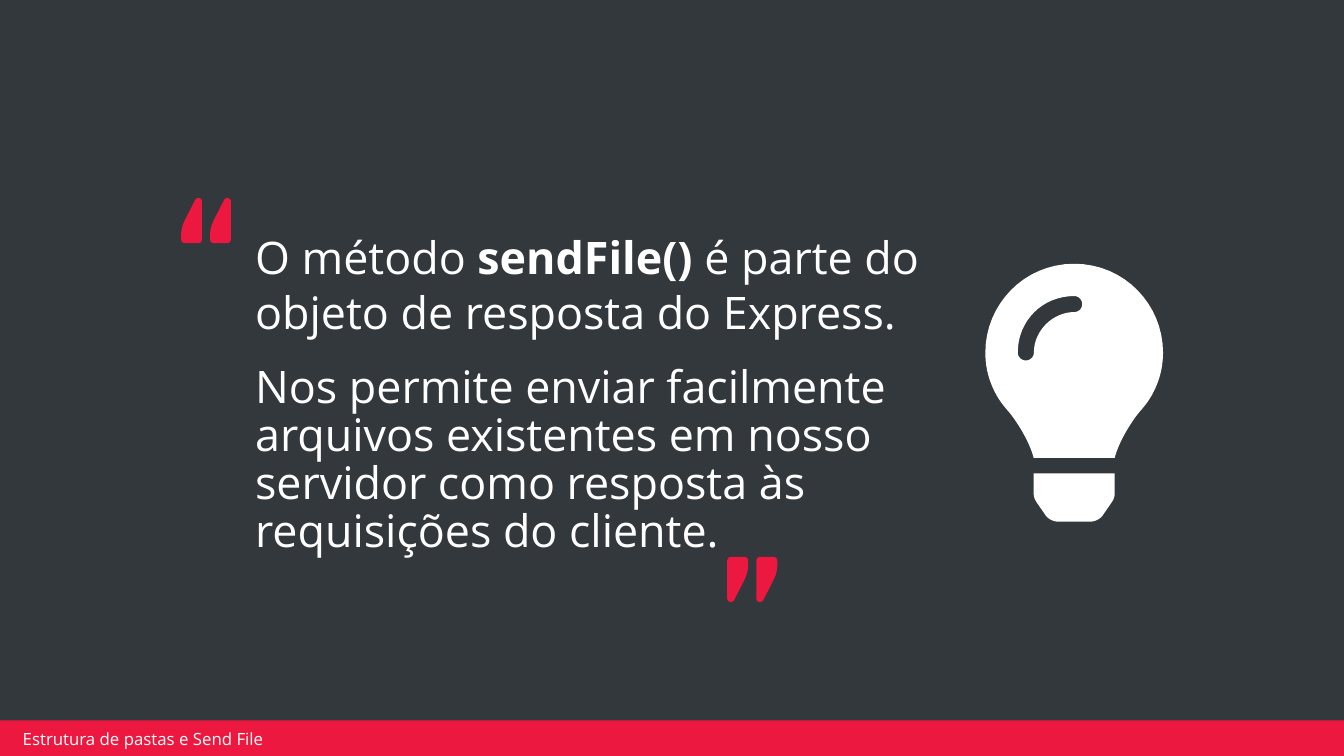
from dataclasses import dataclass
from typing import NamedTuple

from pptx import Presentation
from pptx import util as u
from pptx.dml import color
from pptx.enum import shapes, text


@dataclass(frozen=True)
class Theme:
    """Colours, font and type sizes."""
    dark: str = "33383C"
    accent: str = "EC183F"
    white: str = "FFFFFF"
    font: str = "Open Sans"
    body: float = 24
    footer: float = 9


class Point(NamedTuple):
    """Position in points."""
    x: float
    y: float


class Quote(NamedTuple):
    """Place and rotation of one half of a quotation mark."""
    x: float
    y: float
    turn: float = 0


class Para(NamedTuple):
    """Paragraph as alternating plain and bold pieces, with its spacing."""
    pieces: tuple[str, ...]
    line: float
    before: float


THEME = Theme()
QUOTES = [Quote(97, 106), Quote(112.5, 106),
          Quote(405.2, 298.3, 180), Quote(389.6, 298.3, 180)]
MARK = [Point(*p) for p in (
    (9.4, 0), (8.6, 0.2), (7.6, 1), (2.2, 11.6), (0.9, 14.5), (0.3, 17),
    (0, 19.5), (0, 22.4), (0.4, 23.6), (1.6, 24.3), (9.6, 24.3),
    (10.8, 23.7), (11.2, 22.5), (11.2, 1.8), (10.8, 0.6))]
BULB_TOP = Point(575.5, 141.3)
GLASS = [(0, 0), (-27, 0), (-47.6, 22), (-47.6, 47.5),
         (-47.6, 59.8), (-43, 70.6), (-35.3, 79),
         (-31, 84), (-24, 95), (-21.7, 104)]
GLARE = [(0, 25.9), (-11.5, 25.9), (-21.6, 36), (-21.6, 47.5),
         (-21.6, 50), (-23.5, 51.8), (-25.9, 51.8),
         (-28.3, 51.8), (-30.2, 50), (-30.2, 47.5),
         (-30.2, 30.5), (-17, 17.3), (0, 17.3),
         (2.4, 17.3), (4.3, 19.2), (4.3, 21.6),
         (4.3, 24), (2.4, 25.9), (0, 25.9)]
SOCKET = [(-21.7, 123), (-21.7, 124.6), (-21.2, 126.2), (-20.3, 127.5)]
TIP = [(-15.5, 134.5), (-13.8, 137), (-11, 138.2), (-8.2, 138.2)]
PARAS = [
    Para(("O método ", "sendFile() ",
          "é parte do objeto de resposta do Express."), 1.02, 6),
    Para(("Nos permite enviar facilmente arquivos existentes em nosso "
          "servidor como resposta às requisições do cliente.",), 0.89, 14.5),
]
FOOTER = [Para(("Estrutura de pastas e Send File",), 1, 0)]


def rgb(value: str) -> color.RGBColor:
    """Turn a hex string into a colour."""
    return color.RGBColor.from_string(value)


def curve(nodes: list, steps: int = 16) -> list[Point]:
    """Flatten a chain of cubic Bezier segments."""
    pts = [Point(*nodes[0])]
    for i in range(0, len(nodes) - 1, 3):
        for k in range(1, steps + 1):
            t = k / steps
            w = ((1 - t) ** 3, 3 * t * (1 - t) ** 2, 3 * t * t * (1 - t), t ** 3)
            pts.append(Point(*(sum(a * n[axis] for a, n in zip(w, nodes[i:i + 4]))
                               for axis in (0, 1))))
    return pts


def mirrored(half: list[Point]) -> list[Point]:
    """Complete a left half with its reflection."""
    return half + [Point(-p.x, p.y) for p in reversed(half)]


def paint(sp, fill: str) -> None:
    """Give a shape a flat fill without line or shadow."""
    sp.fill.solid()
    sp.fill.fore_color.rgb = rgb(fill)
    sp.line.fill.background()
    sp.shadow.inherit = False


def add_outline(s, at: Point, contours: list[list[Point]], fill: str):
    """Draw closed contours as one freeform."""
    placed = [[(u.Pt(at.x + p.x), u.Pt(at.y + p.y)) for p in c] for c in contours]
    fb = s.shapes.build_freeform(*placed[0][0])
    fb.add_line_segments(placed[0][1:], close=True)
    for c in placed[1:]:
        fb.move_to(*c[0])
        fb.add_line_segments(c[1:], close=True)
    sp = fb.convert_to_shape()
    paint(sp, fill)
    return sp


def add_text(s, box: tuple, paras: list[Para], size: float, inset: tuple) -> None:
    """Add a wrapped, vertically centred text box."""
    tf = s.shapes.add_textbox(*map(u.Pt, box)).text_frame
    tf.word_wrap = True
    tf.vertical_anchor = text.MSO_ANCHOR.MIDDLE
    tf.margin_left = tf.margin_right = u.Pt(inset[0])
    tf.margin_top = tf.margin_bottom = u.Pt(inset[1])
    for i, para in enumerate(paras):
        p = tf.add_paragraph() if i else tf.paragraphs[0]
        p.line_spacing, p.space_before = para.line, u.Pt(para.before)
        for j, piece in enumerate(para.pieces):
            r = p.add_run()
            r.text = piece
            r.font.name, r.font.size = THEME.font, u.Pt(size)
            r.font.bold = j % 2 == 1
            r.font.color.rgb = rgb(THEME.white)


def main() -> None:
    """Build and save the slide."""
    prs = Presentation()
    prs.slide_width, prs.slide_height = u.Pt(720), u.Pt(405)
    s = prs.slides.add_slide(prs.slide_layouts[6])
    s.background.fill.solid()
    s.background.fill.fore_color.rgb = rgb(THEME.dark)

    bar = s.shapes.add_shape(shapes.MSO_SHAPE.RECTANGLE,
                             *map(u.Pt, (-1.4, 385.9, 722, 19.4)))
    paint(bar, THEME.accent)
    add_text(s, (8.6, 390.2, 172, 10.8), FOOTER, THEME.footer, (3.6, 1.4))
    add_text(s, (129.6, 103.7, 406.8, 213.8), PARAS, THEME.body, (7.2, 3.6))

    base = [Point(-21.7, 112.3)] + curve(SOCKET) + curve(TIP)
    add_outline(s, BULB_TOP, [mirrored(curve(GLASS)), curve(GLARE), mirrored(base)],
                THEME.white)
    for q in QUOTES:
        add_outline(s, Point(q.x, q.y), [MARK], THEME.accent).rotation = q.turn
    prs.save("out.pptx")


if __name__ == "__main__":
    main()
